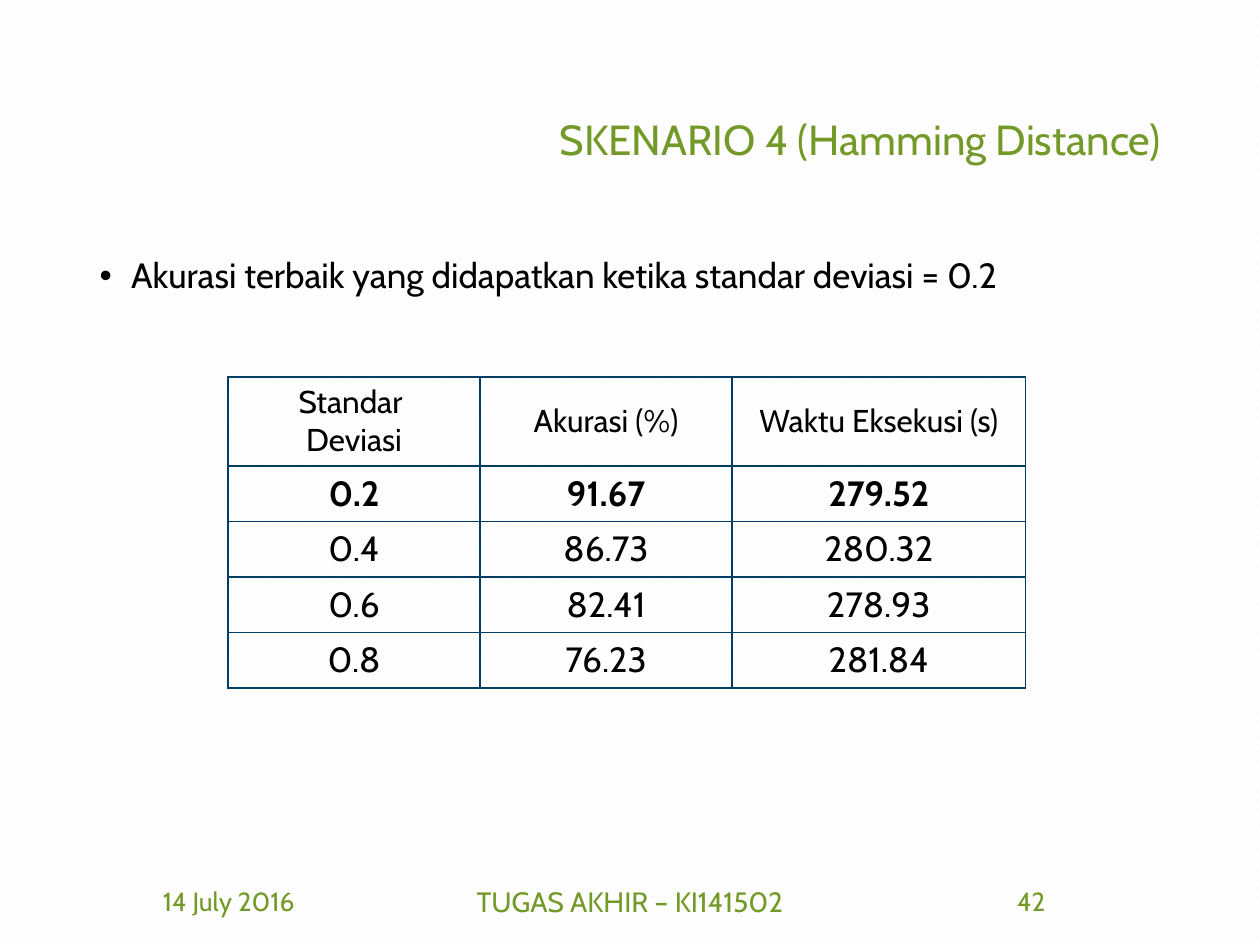
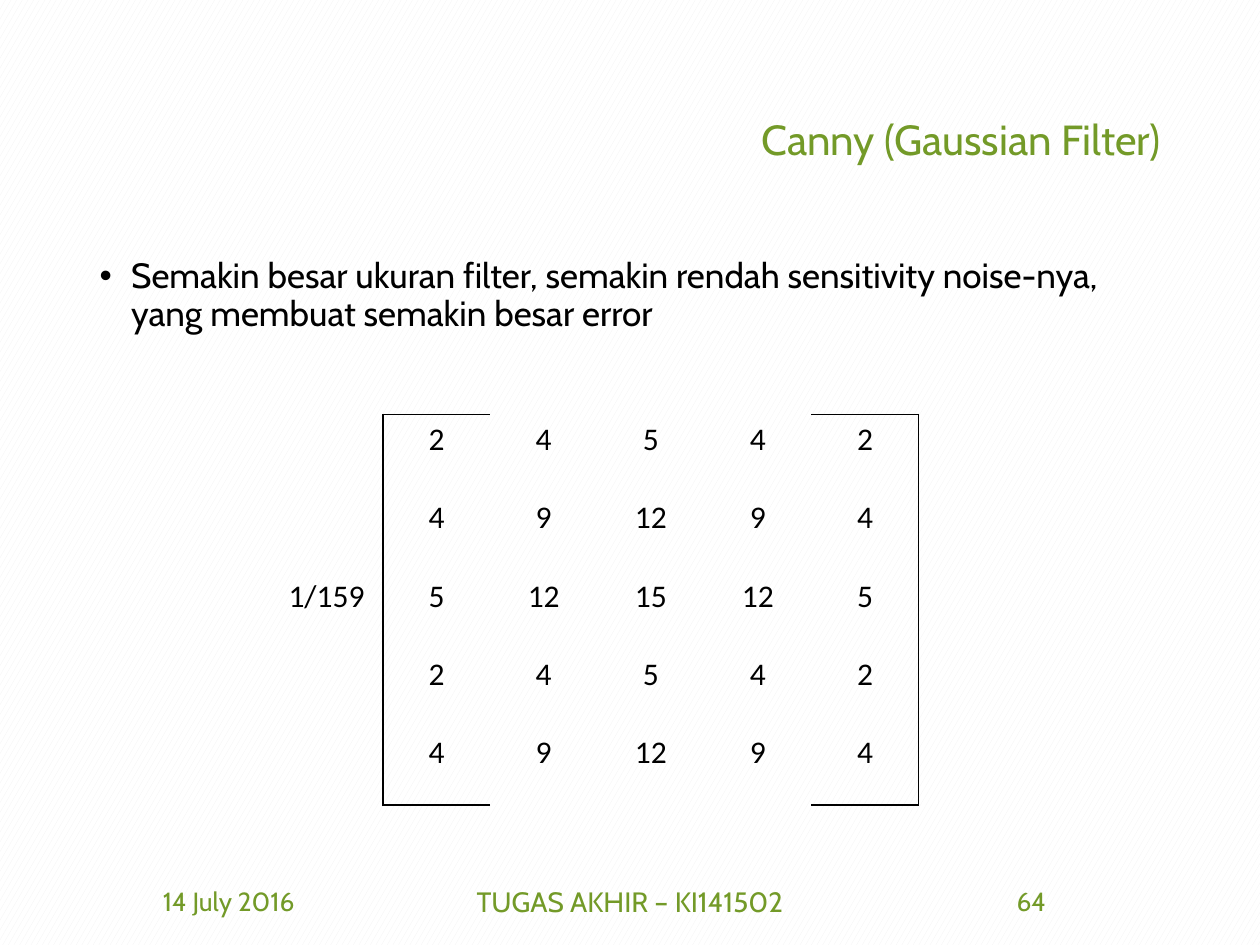
from dataclasses import dataclass

from lxml import etree
from pptx import Presentation
from pptx.dml.color import RGBColor
from pptx.enum.dml import MSO_PATTERN
from pptx.enum.text import MSO_ANCHOR, MSO_AUTO_SIZE, PP_ALIGN
from pptx.oxml.ns import qn
from pptx.util import Inches, Pt

CENTER, RIGHT, LEFT = PP_ALIGN.CENTER, PP_ALIGN.RIGHT, PP_ALIGN.LEFT
MIDDLE, TOP = MSO_ANCHOR.MIDDLE, MSO_ANCHOR.TOP
NO_AUTOFIT = MSO_AUTO_SIZE.NONE
CONFETTI = MSO_PATTERN.LARGE_CONFETTI
TITLE_AND_CONTENT = 1
EDGES = "LRTB"


@dataclass(frozen=True)
class Theme:
    font: str = "Cabin"
    matrix_font: str = "Calibri"
    accent: str = "739A28"
    text: str = "000000"
    grid: str = "003D62"
    paper: str = "FFFFFF"
    confetti: str = "F2F2F2"
    title_size: int = 24
    body_size: int = 20
    table_head_size: int = 18
    matrix_size: int = 18
    footer_size: int = 16
    footer_side_size: int = 15
    border_width: int = 1


THEME = Theme()

TITLE_BOX = (0.69, 0.4, 8.62, 1.45)
BODY_BOX = (0.69, 2, 8.62, 4.76)
FOOTER_BOX = (0.69, 6.95, 8.62, 0.4)
RESULT_BOX = (1.81, 2.99, 6.33, 2.47)
KERNEL_BOX = (2.19, 3.29, 5.1, 3.1)

RESULTS = [
    ["Standar \nDeviasi", "Akurasi (%)", "Waktu Eksekusi (s)"],
    ["0.2", "91.67", "279.52"],
    ["0.4", "86.73", "280.32"],
    ["0.6", "82.41", "278.93"],
    ["0.8", "76.23", "281.84"],
]
BEST_ROW = 1

KERNEL_SCALE = "1/159"
KERNEL = [
    [2, 4, 5, 4, 2],
    [4, 9, 12, 9, 4],
    [5, 12, 15, 12, 5],
    [2, 4, 5, 4, 2],
    [4, 9, 12, 9, 4],
]


def inches(box):
    return [Inches(length) for length in box]


def place(shape, box):
    shape.left, shape.top, shape.width, shape.height = inches(box)


def write(frame, text, size, color=THEME.text, font=THEME.font,
          align=CENTER, bold=False):
    frame.text = text
    for paragraph in frame.paragraphs:
        paragraph.alignment = align
        for run in paragraph.runs:
            run.font.name = font
            run.font.size = Pt(size)
            run.font.bold = bold
            run.font.color.rgb = RGBColor.from_string(color)


def set_borders(cell, edges, color):
    """Draw the named edges of a cell (letters of LRTB) and hide the others."""
    properties = cell._tc.get_or_add_tcPr()
    for position, edge in enumerate(EDGES):
        line = etree.Element(qn(f"a:ln{edge}"), w=str(Pt(THEME.border_width)))
        if edge in edges:
            fill = etree.SubElement(line, qn("a:solidFill"))
            etree.SubElement(fill, qn("a:srgbClr"), val=color)
        else:
            etree.SubElement(line, qn("a:noFill"))
        properties.insert(position, line)


def add_plain_table(slide, box, row_heights, column_widths):
    """Add a table without fills, header style or banding."""
    table = slide.shapes.add_table(
        len(row_heights), len(column_widths), *inches(box)).table
    table.first_row = table.horz_banding = False
    for row, height in zip(table.rows, row_heights):
        row.height = Inches(height)
    for column, width in zip(table.columns, column_widths):
        column.width = Inches(width)
    for cell in table.iter_cells():
        cell.fill.background()
    return table


def add_title(slide, title, box):
    heading = slide.shapes.title
    place(heading, box)
    frame = heading.text_frame
    write(frame, title, THEME.title_size, THEME.accent, align=RIGHT)
    frame.auto_size = NO_AUTOFIT
    frame.vertical_anchor = MIDDLE
    frame.paragraphs[0].line_spacing = 0.9


def add_finding(slide, finding, box):
    """Fill the body placeholder with one bulleted statement."""
    body = slide.placeholders[1]
    place(body, box)
    frame = body.text_frame
    write(frame, finding, THEME.body_size, align=LEFT)
    frame.auto_size = NO_AUTOFIT
    frame.vertical_anchor = TOP
    paragraph = frame.paragraphs[0]
    properties = paragraph._p.get_or_add_pPr()
    properties.set("marL", str(Inches(0.25)))
    properties.set("indent", str(-Inches(0.25)))
    etree.SubElement(properties, qn("a:buFont"), typeface="Arial")
    etree.SubElement(properties, qn("a:buChar"), char="•")
    paragraph.line_spacing = 0.9
    paragraph.space_before = Pt(0)


def add_footer(slide, number, box):
    left, top, width, height = box
    side, middle = 2.25, 3.38
    parts = [
        ("14 July 2016", left, side, THEME.footer_side_size),
        ("TUGAS AKHIR – KI141502", left + (width - middle) / 2, middle,
         THEME.footer_size),
        (str(number), left + width - side, side, THEME.footer_side_size),
    ]
    for text, x, part_width, size in parts:
        frame = slide.shapes.add_textbox(
            *inches((x, top, part_width, height))).text_frame
        frame.word_wrap = True
        frame.vertical_anchor = MIDDLE
        write(frame, text, size, THEME.accent)


def add_results(slide, box):
    width, height = box[2:]
    value_height, column = 0.44, 2
    value_rows = len(RESULTS) - 1
    table = add_plain_table(
        slide, box,
        [height - value_rows * value_height] + [value_height] * value_rows,
        [column, column, width - 2 * column])
    for r, values in enumerate(RESULTS):
        size = THEME.body_size if r else THEME.table_head_size
        for c, value in enumerate(values):
            cell = table.cell(r, c)
            write(cell.text_frame, value, size, bold=r == BEST_ROW)
            if c:
                cell.vertical_anchor = MIDDLE
            if r and c:
                cell.margin_left = cell.margin_right = Inches(0.07)
                cell.margin_top = cell.margin_bottom = 0
            set_borders(cell, EDGES, THEME.grid)


def kernel_edges(row, column):
    """Name the cell edges that form the square brackets of the matrix."""
    last_row, last_column = len(KERNEL) - 1, len(KERNEL[0])
    if column == 0:
        return "R"
    if column not in (1, last_column):
        return ""
    edges = "L" if column == 1 else "R"
    if row == 0:
        edges += "T"
    if row == last_row:
        edges += "B"
    return edges


def add_kernel(slide, box):
    width, height = box[2:]
    rows, columns = len(KERNEL), len(KERNEL[0]) + 1
    table = add_plain_table(
        slide, box, [height / rows] * rows, [width / columns] * columns)
    for r, weights in enumerate(KERNEL):
        scale = KERNEL_SCALE if r == rows // 2 else ""
        for c, value in enumerate([scale] + weights):
            cell = table.cell(r, c)
            write(cell.text_frame, str(value), THEME.matrix_size,
                  font=THEME.matrix_font, align=CENTER if c else LEFT)
            set_borders(cell, kernel_edges(r, c), THEME.text)


def add_slide(deck, title, finding, number):
    slide = deck.slides.add_slide(deck.slide_layouts[TITLE_AND_CONTENT])
    add_title(slide, title, TITLE_BOX)
    add_finding(slide, finding, BODY_BOX)
    add_footer(slide, number, FOOTER_BOX)
    return slide


def set_background(master):
    fill = master.background.fill
    fill.patterned()
    fill.pattern = CONFETTI
    fill.fore_color.rgb = RGBColor.from_string(THEME.confetti)
    fill.back_color.rgb = RGBColor.from_string(THEME.paper)


def main():
    deck = Presentation()
    deck.slide_width, deck.slide_height = Inches(10), Inches(7.5)
    set_background(deck.slide_master)

    scenario = add_slide(
        deck, "SKENARIO 4 (Hamming Distance)",
        "Akurasi terbaik yang didapatkan ketika standar deviasi = 0.2", 42)
    add_results(scenario, RESULT_BOX)

    gaussian = add_slide(
        deck, "Canny (Gaussian Filter)",
        "Semakin besar ukuran filter, semakin rendah sensitivity noise-nya, "
        "yang membuat semakin besar error", 64)
    add_kernel(gaussian, KERNEL_BOX)

    deck.save("out.pptx")


if __name__ == "__main__":
    main()
